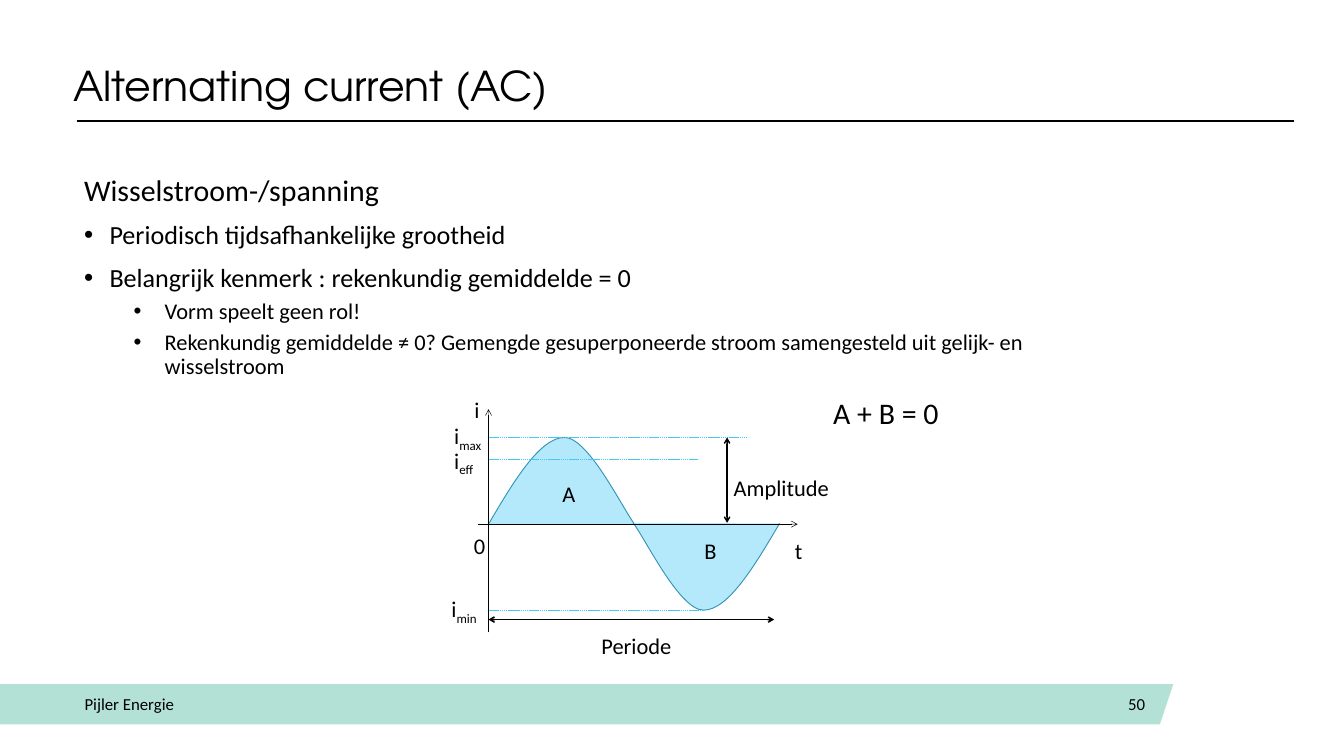
import pptx
import pptx.dml.color
import pptx.enum.dml
import pptx.enum.shapes
import pptx.enum.text
import pptx.oxml
import pptx.oxml.ns
import pptx.util

Inches = pptx.util.Inches
Pt = pptx.util.Pt
Align = pptx.enum.text.PP_ALIGN
Anchor = pptx.enum.text.MSO_ANCHOR
qn = pptx.oxml.ns.qn

HEX = {"ink": "000000", "mint": "B4E1D6", "wave": "B4E9FB",
       "edge": "3294B5", "dash": "44C8F5"}
BODY = "Calibri"
HEAD = "TeX Gyre Adventor"


def color(name):
    return pptx.dml.color.RGBColor.from_string(HEX[name])


def apply(item, **vals):
    for key, val in vals.items():
        setattr(item, key, val)


def node(parent, tag, **attrs):
    part = pptx.oxml.parse_xml(f'<{tag} {pptx.oxml.ns.nsdecls("a")}/>')
    for key, val in attrs.items():
        part.set(key, val)
    parent.append(part)
    return part


class Deck:
    """Holds the style and the current slide."""

    def __init__(self):
        self.file = pptx.Presentation()
        apply(self.file, slide_width=Inches(20), slide_height=Inches(11.25))
        self.slide = self.file.slides.add_slide(self.file.slide_layouts[1])
        self.shapes = self.slide.shapes

    def font(self, run, size, face=BODY):
        apply(run.font, size=Pt(size), name=face)
        run.font.color.rgb = color("ink")

    def place(self, shape, left, top, width, height):
        apply(shape, left=Inches(left), top=Inches(top),
              width=Inches(width), height=Inches(height))

    def title(self, text, box):
        shape = self.shapes.title
        self.place(shape, *box)
        frame = shape.text_frame
        apply(frame, text=text, vertical_anchor=Anchor.MIDDLE, margin_left=0,
              margin_right=0, margin_top=0, margin_bottom=0,
              auto_size=pptx.enum.text.MSO_AUTO_SIZE.NONE)
        para = frame.paragraphs[0]
        apply(para, alignment=Align.LEFT, line_spacing=0.9)
        self.font(para.runs[0], 44, HEAD)

    def body(self, rows, box):
        shape = self.slide.placeholders[1]
        self.place(shape, *box)
        frame = shape.text_frame
        apply(frame, auto_size=pptx.enum.text.MSO_AUTO_SIZE.NONE,
              vertical_anchor=Anchor.TOP)
        # level, size, space before, left margin, hanging indent
        kinds = {"lead": (0, 32, 0, 0, 0), "main": (0, 28, 15, 0.38, 0.38),
                 "sub": (1, 24, 7.5, 1.2, 0.46)}
        for i, (kind, text) in enumerate(rows):
            level, size, gap, left, hang = kinds[kind]
            para = frame.add_paragraph() if i else frame.paragraphs[0]
            apply(para, text=text, level=level, line_spacing=0.9,
                  space_before=Pt(gap), alignment=Align.LEFT)
            props = para._p.get_or_add_pPr()
            props.set("marL", str(Inches(left)))
            props.set("indent", str(-Inches(hang)))
            if hang:
                node(props, "a:buFont", typeface="Arial")
                node(props, "a:buChar", char="•")
            else:
                node(props, "a:buNone")
            for run in para.runs:
                self.font(run, size)

    def text(self, text, box, size=24, low="", pad=0.1, align=Align.LEFT,
             anchor=Anchor.TOP, lead=1.15):
        shape = self.shapes.add_textbox(*map(Inches, box))
        frame = shape.text_frame
        apply(frame, word_wrap=True, vertical_anchor=anchor,
              margin_left=Inches(pad))
        para = frame.paragraphs[0]
        apply(para, text=text, alignment=align, line_spacing=lead)
        self.font(para.runs[0], size)
        if low:
            run = para.add_run()
            run.text = low
            self.font(run, size)
            run._r.get_or_add_rPr().set("baseline", "-25000")

    def line(self, start, end, tint="ink", width=0.5, dash=False, ends=()):
        line = self.shapes.add_connector(
            pptx.enum.shapes.MSO_CONNECTOR.STRAIGHT,
            *map(Inches, start + end))
        line.line.color.rgb = color(tint)
        line.line.width = Pt(width)
        if dash:
            line.line.dash_style = pptx.enum.dml.MSO_LINE.SQUARE_DOT
        for end in ends:
            node(line.line._ln, f"a:{end}End", type="arrow")
        node(line._element.spPr, "a:effectLst")

    def shape(self, points, fill, edge=None, curve=False):
        """Outline through the points; a curve takes three points a piece."""
        spots = [(Inches(x), Inches(y)) for x, y in points]
        maker = self.shapes.build_freeform(*spots[0], scale=1.0)
        maker.add_line_segments(spots[1:], close=not curve)
        shape = maker.convert_to_shape()
        shape.shadow.inherit = False
        shape.fill.solid()
        shape.fill.fore_color.rgb = color(fill)
        if edge:
            shape.line.color.rgb = color(edge)
            shape.line.width = Pt(1)
        else:
            shape.line.fill.background()
        if curve:
            track = next(shape._element.iter(qn("a:path")))
            steps = track.findall(qn("a:lnTo"))
            for i in range(0, len(steps), 3):
                bend = node(track, "a:cubicBezTo")
                for step in steps[i:i + 3]:
                    bend.append(step[0])
                    track.remove(step)


def main():
    deck = Deck()

    # Footer band and title rule
    deck.shape([(-0.02, 10.18), (17.46, 10.18), (17.26, 10.78),
                (-0.02, 10.78)], "mint")
    deck.line((1.14, 1.8), (19.25, 1.8), width=2.25)
    foot = {"size": 18, "anchor": Anchor.MIDDLE, "lead": 1.0}
    deck.text("Pijler Energie", (1.16, 10.18, 4.5, 0.6), **foot)
    deck.text("50", (13.02, 10.18, 4.12, 0.6), align=Align.RIGHT, **foot)

    # Title and list
    deck.title("Alternating current (AC)", (1.09, 0.97, 18.13, 0.69))
    deck.body([
        ("lead", "Wisselstroom-/spanning"),
        ("main", "Periodisch tijdsafhankelijke grootheid"),
        ("main", "Belangrijk kenmerk : rekenkundig gemiddelde = 0"),
        ("sub", "Vorm speelt geen rol!"),
        ("sub", "Rekenkundig gemiddelde ≠ 0? Gemengde gesuperponeerde stroom "
                "samengesteld uit gelijk- en\vwisselstroom"),
    ], (1.15, 2.57, 18.13, 6.68))

    # Sine wave: the second half is the first turned by 180 degrees
    zero, axis, peak, low = 7.27, 7.8, 6.51, 9.08
    half = [(zero, axis), (7.65, 7.15), (8.04, peak), (8.4, peak),
            (8.76, peak), (9.27, 7.58), (9.45, 7.81)]
    turn = [(18.87 - x, 15.59 - y) for x, y in half]
    for points in (half, turn):
        deck.shape(points, "wave", "edge", curve=True)

    # Level lines
    for level, end in ((6.83, 10.38), (peak, 11.12), (low, 10.48)):
        deck.line((zero, level), (end, level), "dash", dash=True)

    # Axes and measures
    deck.line((zero, 9.41), (zero, 6.09), ends=["tail"])
    deck.line((7.11, axis), (11.87, axis), ends=["tail"])
    both = ["head", "tail"]
    deck.line((10.82, peak), (10.82, 7.78), width=1.5, ends=both)
    deck.line((zero, 9.22), (11.52, 9.22), width=1.5, ends=both)

    # Labels
    for text, sub, left, top, pad in (
            ("i", "", 6.96, 5.79, 0.1), ("t", "", 11.73, 7.89, 0.1),
            ("i", "max", 6.66, 6.17, 0.1), ("i", "eff", 6.66, 6.53, 0.1),
            ("i", "min", 6.62, 8.74, 0.1), ("0", "", 6.73, 7.81, 0.32)):
        deck.text(text, (left, top, 1.01, 0.49), low=sub, pad=pad)
    deck.text("A", (7.97, 7.04, 0.81, 0.58), pad=0.4)
    deck.text("B", (10.16, 7.89, 0.81, 0.58), pad=0.32)
    deck.text("Amplitude", (10.82, 6.94, 1.78, 0.45))
    deck.text("Periode", (8.47, 9.3, 2, 0.39), align=Align.CENTER)
    deck.text("A + B = 0", (12.3, 5.82, 2.62, 0.64), size=32, lead=1.0)

    deck.file.save("out.pptx")


if __name__ == "__main__":
    main()
